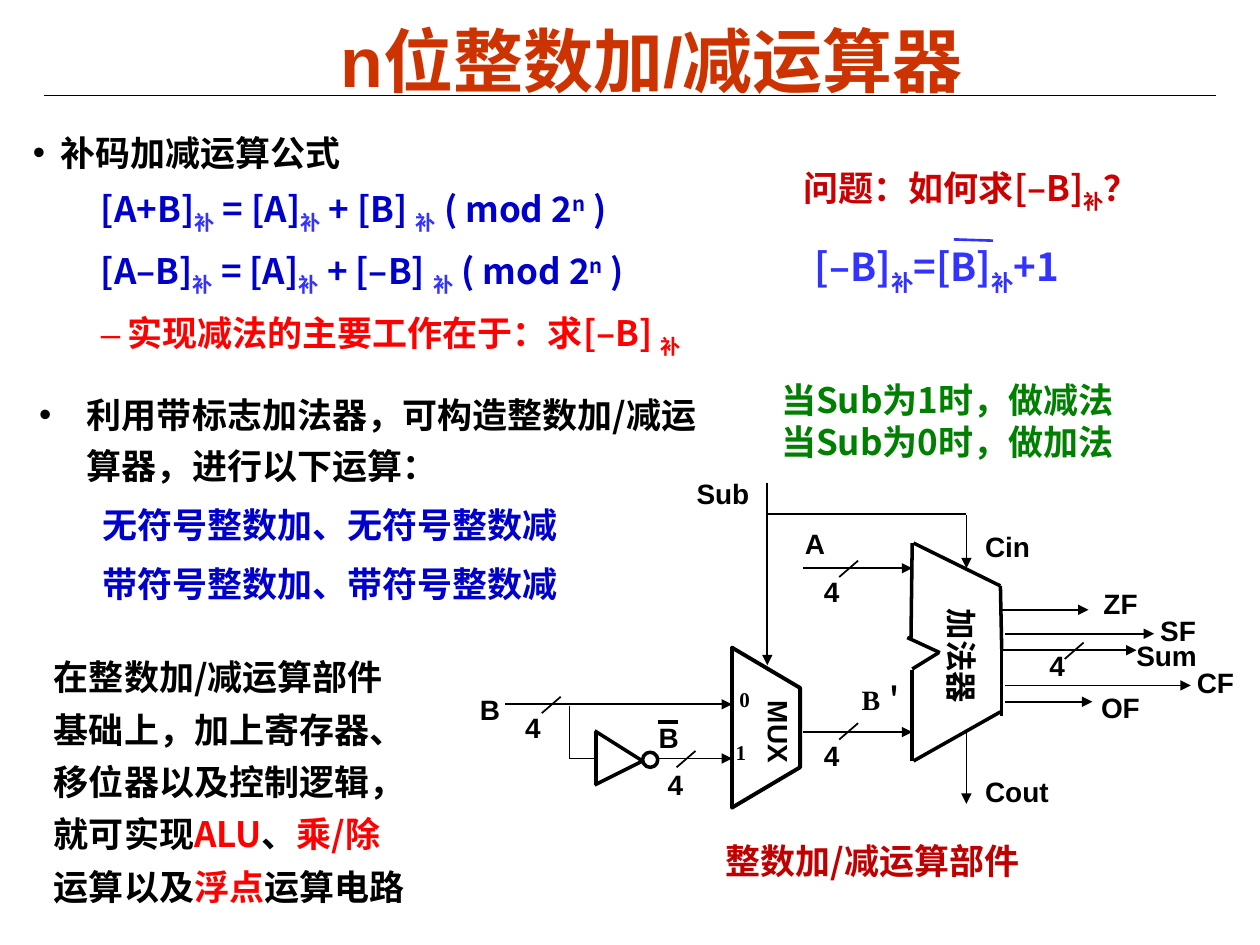
from lxml import etree
from pptx import Presentation
from pptx import util as u
from pptx.dml.color import RGBColor
from pptx.enum import shapes, text
from pptx.oxml import ns

PX = 9144
THEME = {
    "black": "000000", "rust": "CC3300", "navy": "0000CC", "blue": "3333FF",
    "red": "FF0000", "crimson": "CC0000", "green": "008000", "wine": "C00000",
    "cjk": "Noto Sans CJK SC", "sans": "Arial", "serif": "Times New Roman",
    "head": 40, "formula": 22, "main": 20, "adder": 18, "label": 16, "pin": 12,
}
TIGHT = (7, 3, 7, 3)
LOOSE = (10, 5, 10, 5)


def formula(left, term):
    return [(left, "navy"), ("补", "blue", -25), (" = [A]", "navy"),
            ("补", "blue", -25), (f" + {term} ", "navy"), ("补", "blue", -25),
            (" ( mod 2", "navy"), ("n", "navy", 30), (" )", "navy")]


TITLE = [[("n位整数加/减运算器", "rust")]]
RULES = [
    [("补码加减运算公式", "black")],
    formula("[A+B]", "[B]"),
    formula("[A–B]", "[–B]"),
    [("实现减法的主要工作在于：求[–B] ", "red"), ("补", "red", -25)],
]
USES = [
    [("利用带标志加法器，可构造整数加/减运算器，进行以下运算：", "black")],
    [("无符号整数加、无符号整数减", "navy")],
    [("带符号整数加、带符号整数减", "navy")],
]
MODES = [[("当Sub为1时，做减法", "green")], [("当Sub为0时，做加法", "green")]]
ASK = [[("问题：如何求[–B]", "crimson"), ("补", "crimson", -25), ("？", "crimson")]]
ANSWER = [[("[–B]", "blue"), ("补", "blue", -25), ("=[B]", "blue"),
           ("补", "blue", -25), ("+1", "blue")]]
NOTE = [[("在整数加/减运算部件基础上，加上寄存器、移位器以及控制逻辑，就可实现", "black"),
         ("ALU", "red"), ("、", "black"), ("乘/除", "red"), ("运算以及", "black"),
         ("浮点", "red"), ("运算电路", "black")]]
CAPTION = [[("整数加/减运算部件", "wine")]]

LABELS = [
    ("Sum", 892, 502, 68), ("A", 629, 413, 36), ("ZF", 866, 461, 47),
    ("Cin", 772, 415, 56), ("Cout", 772, 610, 78), ("B", 371, 545, 36),
    ("Sub", 543, 373, 62), ("B", 513, 567, 36), ("OF", 864, 543, 51),
    ("SF", 911, 482, 59), ("CF", 940, 523, 60), ("4", 644, 451, 32),
    ("4", 644, 581, 32), ("4", 823, 510, 32), ("4", 407, 559, 32),
    ("4", 520, 604, 32),
]
PINS = [("0", 577, 540), ("1", 574, 582)]
TURNED = [("加法器", (710, 507, 107, 40), "adder"), ("MUX", (577, 569, 82, 37), "label")]

ARROWS = [
    (637, 451, 724, 451), (637, 581, 724, 581), (767, 409, 767, 451),
    (767, 582, 767, 638), (401, 559, 581, 559), (523, 602, 581, 602),
    (609, 383, 609, 528), (795, 484, 864, 484), (798, 503, 916, 503),
    (796, 516, 902, 516), (798, 544, 945, 544), (798, 557, 867, 557),
]
WIRES = [(767, 408, 609, 408), (452, 560, 452, 602), (452, 602, 472, 602)]
BUSES = [(681, 574), (681, 445), (860, 510), (445, 553), (552, 596)]
EDGES = [
    (724, 431, 723, 507), (725, 431, 794, 465), (720, 506, 746, 518),
    (794, 465, 795, 515), (724, 604, 724, 532), (725, 604, 794, 565),
    (724, 531, 745, 518), (795, 568, 795, 515),
    (510, 604, 472, 580), (510, 604, 472, 623), (473, 582, 473, 623),
]
MUX = [(581, 641), (635, 609), (635, 546), (581, 514)]


def apply(item, **vals):
    for key, val in vals.items():
        setattr(item, key, val)


def color(name):
    return RGBColor.from_string(THEME[name])


def place(shape, box):
    apply(shape, **dict(zip(("left", "top", "width", "height"), (v * PX for v in box))))


def write(shape, paras, size="main", font="cjk", pad=LOOSE, wrap=True,
          fit=text.MSO_AUTO_SIZE.SHAPE_TO_FIT_TEXT, anchor=text.MSO_ANCHOR.TOP,
          align=text.PP_ALIGN.LEFT, space=1.0):
    frame = shape.text_frame
    sides = ("margin_left", "margin_top", "margin_right", "margin_bottom")
    apply(frame, word_wrap=wrap, auto_size=fit, vertical_anchor=anchor,
          **dict(zip(sides, (v * PX for v in pad))))
    for n, runs in enumerate(paras):
        para = frame.add_paragraph() if n else frame.paragraphs[0]
        apply(para, alignment=align, line_spacing=space, space_before=u.Pt(0))
        for words, tone, *base in runs:
            run = para.add_run()
            run.text = words
            apply(run.font, name=THEME[font], size=u.Pt(THEME[size]), bold=True)
            run.font.color.rgb = color(tone)
            props = run.font._element
            etree.SubElement(props, ns.qn("a:ea")).set("typeface", THEME["cjk"])
            if base:
                props.set("baseline", str(base[0] * 1000))


def outline(shape, width, tone="black"):
    shape.line.color.rgb = color(tone)
    shape.line.width = u.Pt(width)


def line(home, ends, width=1, tone="black", arrow=False):
    wire = home.add_connector(shapes.MSO_CONNECTOR.STRAIGHT, *(v * PX for v in ends))
    outline(wire, width, tone)
    if arrow:
        etree.SubElement(wire.line._get_or_add_ln(), ns.qn("a:tailEnd")).set("type", "triangle")
    etree.SubElement(wire._element.spPr, ns.qn("a:effectLst"))


def box(home, area, paras, **form):
    shape = home.add_textbox(*(v * PX for v in area))
    write(shape, paras, **form)
    return shape


def outlined(shape, width):
    shape.shadow.inherit = False
    shape.fill.background()
    outline(shape, width)


def bullets(shape, area, paras, marks, dents, gap, space, pad):
    place(shape, area)
    write(shape, paras, space=space, pad=pad, fit=text.MSO_AUTO_SIZE.NONE)
    for n, (para, mark) in enumerate(zip(shape.text_frame.paragraphs, marks)):
        left, first = dents[min(n, 1)]
        apply(para, level=min(n, 1), space_before=u.Pt(gap if n else 0))
        props = para._p.get_or_add_pPr()
        props.set("marL", str(left * PX))
        props.set("indent", str(first * PX))
        if mark:
            etree.SubElement(props, ns.qn("a:buChar")).set("char", mark)
        else:
            etree.SubElement(props, ns.qn("a:buNone"))


def circuit(home):
    for ends in ARROWS:
        line(home, ends, arrow=True)
    for ends in WIRES + [(x, y, x - 15, y + 13) for x, y in BUSES]:
        line(home, ends)
    for ends in EDGES:
        line(home, ends, 2)
    line(home, (522, 573, 538, 573), 2.25)
    ring = home.add_shape(shapes.MSO_SHAPE.OVAL, *(v * PX for v in (510, 597, 12, 12)))
    outlined(ring, 2)
    path = home.build_freeform(*MUX[0], scale=PX)
    path.add_line_segments(MUX[1:], close=True)
    outlined(path.convert_to_shape(), 2.25)
    for words, x, y, wide in LABELS:
        box(home, (x, y, wide, 36), [[(words, "black")]], size="label", font="sans", wrap=False)
    for words, x, y in PINS:
        box(home, (x, y, 28, 30), [[(words, "black")]], size="pin", font="serif")
    for words, area, size in TURNED:
        box(home, area, [[(words, "black")]], size=size, font="sans").rotation = 90
    box(home, (674, 537, 68, 37), [[("B＇", "black")]], size="label", font="serif")
    box(home, (566, 661, 261, 43), CAPTION)


def main():
    deck = Presentation()
    apply(deck, slide_width=1000 * PX, slide_height=750 * PX)
    slide = deck.slides.add_slide(deck.slide_layouts[3])
    home = slide.shapes
    title, rules, uses = slide.placeholders
    line(home, (35, 76, 965, 76), 0.75)
    place(title, (116, 11, 802, 66))
    write(title, TITLE, size="head", font="sans", pad=TIGHT, align=text.PP_ALIGN.CENTER)
    bullets(uses, (21, 301, 543, 282), USES, ("•", "", ""),
            ((38, -38), (81, -31)), 5, 1.2, LOOSE)
    bullets(rules, (19, 96, 647, 179), RULES, ("•", "", "", "–"),
            ((22, -22), (75, -21)), 4, 1.15, TIGHT)
    box(home, (610, 295, 312, 77), MODES, anchor=text.MSO_ANCHOR.MIDDLE)
    box(home, (628, 127, 314, 43), ASK)
    answer = home.add_group_shape().shapes
    box(answer, (637, 188, 260, 47), ANSWER, size="formula")
    line(answer, (757, 190, 788, 191), 1.5, "blue")
    box(home, (33, 507, 306, 218), NOTE, space=1.25)
    circuit(home.add_group_shape().shapes)
    deck.save("out.pptx")


if __name__ == "__main__":
    main()
